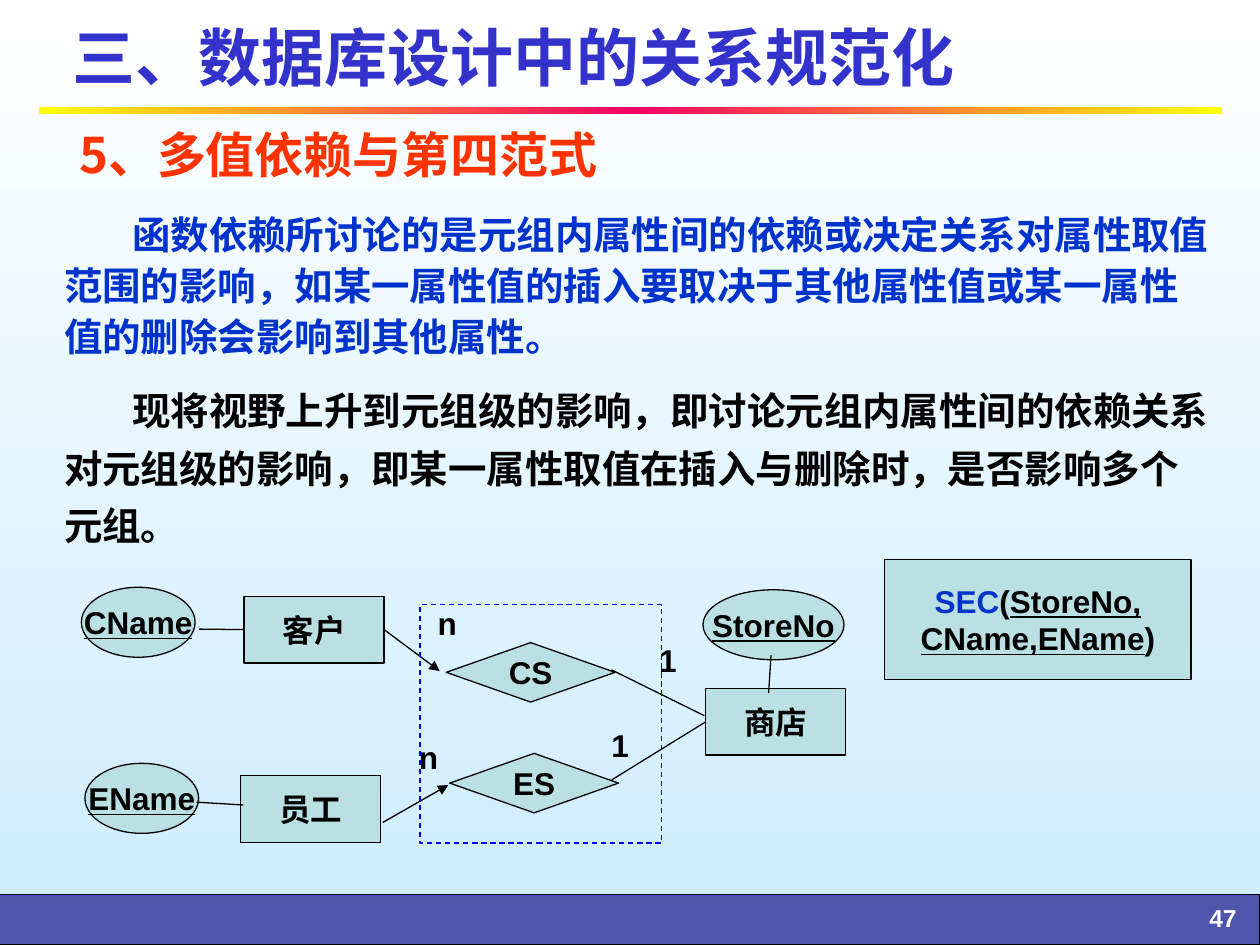
from copy import deepcopy

from lxml import etree
from pptx import Presentation
from pptx.dml.color import RGBColor
from pptx.enum.dml import MSO_LINE
from pptx.enum.shapes import MSO_CONNECTOR, MSO_SHAPE
from pptx.enum.text import MSO_ANCHOR, PP_ALIGN
from pptx.oxml.ns import qn
from pptx.util import Pt

RECT, ELLIPSE, DIAMOND = MSO_SHAPE.RECTANGLE, MSO_SHAPE.OVAL, MSO_SHAPE.DIAMOND
STRAIGHT, DASH = MSO_CONNECTOR.STRAIGHT, MSO_LINE.DASH
LEFT, CENTER, RIGHT = PP_ALIGN.LEFT, PP_ALIGN.CENTER, PP_ALIGN.RIGHT
TOP, MIDDLE = MSO_ANCHOR.TOP, MSO_ANCHOR.MIDDLE
LEFT_SIDE, RIGHT_SIDE = 1, 3

BLACK = RGBColor(0x00, 0x00, 0x00)
WHITE = RGBColor(0xFF, 0xFF, 0xFF)
SKY = RGBColor(0xCC, 0xEC, 0xFF)
NAVY = RGBColor(0x33, 0x33, 0x99)
YELLOW = RGBColor(0xFF, 0xFF, 0x00)
PINK = RGBColor(0xFF, 0x00, 0x66)
INDIGO = RGBColor(0x33, 0x33, 0xCC)
ORANGE = RGBColor(0xFF, 0x33, 0x00)
ROYAL = RGBColor(0x00, 0x33, 0xCC)
BLUE = RGBColor(0x00, 0x00, 0xFF)
TEAL = RGBColor(0xBB, 0xE0, 0xE3)
LATIN, CJK = "Arial", "Noto Sans CJK SC"


def write(shape, *paragraphs, size=18, color=BLACK, font=LATIN, align=CENTER,
          anchor=MIDDLE, wrap=False, spacing=None, indent=0, underline=False):
    """Fill a shape with bold text; a paragraph is a string or a list of
    (text, color, underline) runs."""
    frame = shape.text_frame
    frame.word_wrap = wrap
    frame.vertical_anchor = anchor
    for number, content in enumerate(paragraphs):
        paragraph = frame.add_paragraph() if number else frame.paragraphs[0]
        paragraph.alignment = align
        if spacing:
            paragraph.line_spacing = spacing
        if indent:
            paragraph._p.get_or_add_pPr().set("indent", str(Pt(indent)))
        runs = [(content, color, underline)] if isinstance(content, str) else content
        for text, run_color, run_underline in runs:
            run = paragraph.add_run()
            run.text = text
            run.font.size = Pt(size)
            run.font.bold = True
            run.font.underline = run_underline
            run.font.color.rgb = run_color
            run.font.name = font
            etree.SubElement(run._r.rPr, qn("a:ea"), typeface=CJK)


def add_block(kind, left, top, width, height, fill=TEAL, line=BLACK):
    block = shapes.add_shape(kind, Pt(left), Pt(top), Pt(width), Pt(height))
    block.shadow.inherit = False
    if fill is None:
        block.fill.background()
    else:
        block.fill.solid()
        block.fill.fore_color.rgb = fill
    block.line.color.rgb = line
    block.line.width = Pt(0.75)
    return block


prs = Presentation()
prs.slide_width, prs.slide_height = Pt(720), Pt(540)
slide = prs.slides.add_slide(prs.slide_layouts[6])
shapes = slide.shapes

# Background, footer band and rainbow rule
backdrop = slide.background.fill
backdrop.gradient()
backdrop.gradient_angle = 270
for stop, color, position in zip(backdrop.gradient_stops, (WHITE, SKY), (0, 1)):
    stop.color.rgb = color
    stop.position = position

footer = add_block(RECT, -0.5, 511, 720.5, 29, fill=NAVY)
footer_color = footer._element.spPr.find(qn("a:solidFill")).find(qn("a:srgbClr"))
etree.SubElement(footer_color, qn("a:alpha"), val="81000")

rule = add_block(RECT, 22.5, 61.2, 676, 4)
rule.line.fill.background()
rule.fill.gradient()
rule.fill.gradient_angle = 0
rule_stops = rule._element.spPr.find(qn("a:gradFill")).find(qn("a:gsLst"))
rule_stops.append(deepcopy(rule_stops[0]))
for stop, color, position in zip(rule.fill.gradient_stops,
                                 (YELLOW, PINK, YELLOW), (0, 0.5, 1)):
    stop.color.rgb = color
    stop.position = position

# Headings, body text and page number
body = dict(size=22, anchor=TOP, indent=39)
for left, top, width, height, text, style in (
    (643.7, 512.6, 70, 21.6, "47",
     dict(size=14, color=WHITE, align=RIGHT, anchor=TOP)),
    (38.2, 64.1, 611, 48.2, "5、多值依赖与第四范式",
     dict(size=28, color=ORANGE, font=CJK)),
    (34.6, 5, 553, 54.7, "三、数据库设计中的关系规范化",
     dict(size=36, color=INDIGO)),
    (29.5, 114.5, 672, 94.3,
     "函数依赖所讨论的是元组内属性间的依赖或决定关系对属性取值范围的影响，"
     "如某一属性值的插入要取决于其他属性值或某一属性值的删除会影响到其他属性。",
     dict(body, color=ROYAL, spacing=1.1)),
    (29.5, 211, 672, 106.6,
     "现将视野上升到元组级的影响，即讨论元组内属性间的依赖关系对元组级的影响，"
     "即某一属性取值在插入与删除时，是否影响多个元组。",
     dict(body, spacing=1.25)),
):
    box = shapes.add_textbox(Pt(left), Pt(top), Pt(width), Pt(height))
    write(box, text, **{"align": LEFT, "wrap": True, **style})

# Entities, their key attributes and the relationships
nodes = {}
for kind, left, top, width, height, name in (
    (RECT, 139.5, 340.8, 80, 38, "客户"),
    (ELLIPSE, 46.5, 335.6, 65, 40, "CName"),
    (RECT, 137.5, 443.3, 80, 38, "员工"),
    (ELLIPSE, 48.5, 436.2, 65, 40, "EName"),
    (RECT, 403.2, 393.5, 80, 38, "商店"),
    (ELLIPSE, 401.7, 337, 80.6, 40, "StoreNo"),
    (DIAMOND, 255, 367.2, 96.5, 34, "CS"),
    (DIAMOND, 257, 430.5, 96.5, 34, "ES"),
):
    nodes[name] = add_block(kind, left, top, width, height)
    write(nodes[name], name, underline=kind == ELLIPSE)

# Links: start, end, arrow, entity and side joined at the start, then at the end
customer, store = nodes["客户"], nodes["商店"]
for start, end, arrow, start_join, end_join in (
    ((113.8, 359.5), (139.5, 359.8), False, None, (customer, LEFT_SIDE)),
    ((112.3, 458.4), (139, 460), False, None, None),
    ((439.2, 396), (440.6, 374.4), False, None, None),
    ((219.5, 359.8), (251.3, 383.5), True, (customer, RIGHT_SIDE), None),
    ((349.5, 382.8), (402.5, 409), False, None, None),
    ((349.5, 445.7), (403.2, 412.5), False, None, (store, LEFT_SIDE)),
    ((218.7, 470), (256.2, 448.6), True, None, None),
):
    link = shapes.add_connector(STRAIGHT, *map(Pt, start + end))
    link.line.color.rgb = BLACK
    link.line.width = Pt(0.75)
    if start_join:
        link.begin_connect(*start_join)
    if end_join:
        link.end_connect(*end_join)
    if arrow:
        etree.SubElement(link.line._get_or_add_ln(), qn("a:tailEnd"), type="triangle")
    etree.SubElement(link._element.spPr, qn("a:effectLst"))

# Cardinalities
for left, top, cardinality in ((220.3, 338.4, "n"), (346.3, 360, "1"),
                               (209.5, 415.4, "n"), (319, 408.2, "1")):
    box = shapes.add_textbox(Pt(left), Pt(top), Pt(70.6), Pt(34.6))
    write(box, cardinality, wrap=True)

relationship_frame = add_block(RECT, 240, 345.6, 138, 136.2, fill=None, line=BLUE)
relationship_frame.line.dash_style = DASH

schema = add_block(RECT, 505.6, 319.7, 175, 68.6)
write(schema,
      [("SEC", ROYAL, False), ("(", BLACK, False), ("StoreNo,", BLACK, True)],
      [("CName,EName", BLACK, True), (")", BLACK, False)])

prs.save("out.pptx")
